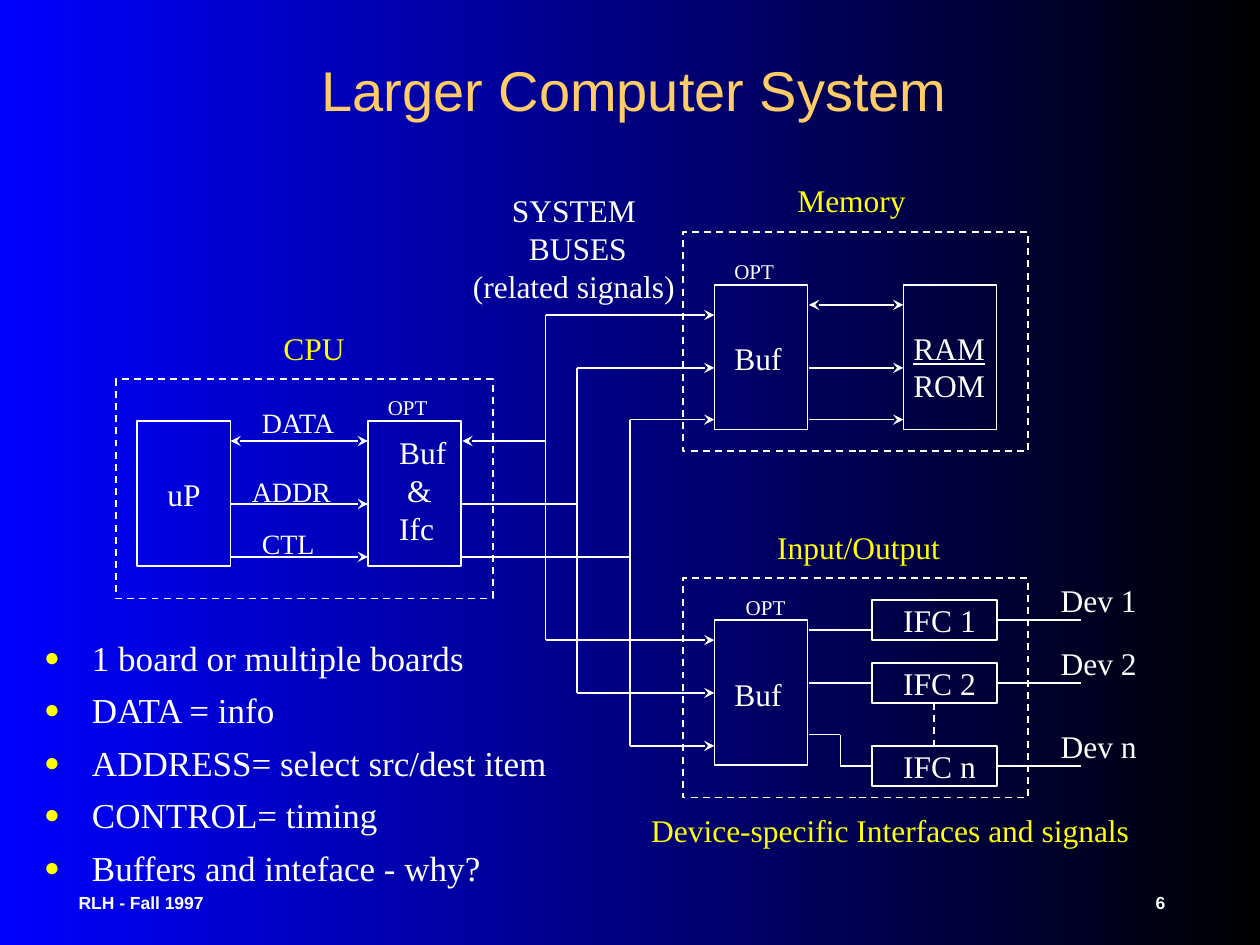
from lxml import etree
from pptx import Presentation
from pptx.dml.color import RGBColor
from pptx.enum.dml import MSO_LINE
from pptx.enum.shapes import MSO_CONNECTOR, MSO_SHAPE
from pptx.enum.text import MSO_ANCHOR, MSO_AUTO_SIZE, PP_ALIGN
from pptx.oxml.ns import qn
from pptx.util import Inches, Pt

WHITE, YELLOW, GOLD = "FFFFFF", "FFFF00", "FFCC66"
BLACK, BLUE = "000000", "0000FF"
SERIF, SANS = "Times New Roman", "Arial"
LEFT, CENTER = PP_ALIGN.LEFT, PP_ALIGN.CENTER
TOP, MIDDLE = MSO_ANCHOR.TOP, MSO_ANCHOR.MIDDLE
NO_FIT = MSO_AUTO_SIZE.NONE
STRAIGHT, RECTANGLE, DASH = MSO_CONNECTOR.STRAIGHT, MSO_SHAPE.RECTANGLE, MSO_LINE.DASH
BOTTOM_SIDE, TOP_SIDE, LEFT_SIDE, RIGHT_SIDE = 2, 0, 1, 3

color = RGBColor.from_string

deck = Presentation()
deck.slide_width, deck.slide_height = Inches(10), Inches(7.5)
page = deck.slides.add_slide(deck.slide_layouts[1])


def write(box, lines, size, hue=WHITE, font=SERIF, align=LEFT, anchor=TOP, bold=False):
    """Fill a shape with one formatted paragraph per line."""
    frame = box.text_frame
    frame.text = "\n".join(lines)
    frame.auto_size = NO_FIT
    frame.vertical_anchor = anchor
    for para in frame.paragraphs:
        para.alignment = align
        for span in para.runs:
            span.font.size, span.font.name, span.font.bold = Pt(size), font, bold
            span.font.color.rgb = color(hue)
    return frame


def connect(x1, y1, x2, y2, head=False, tail=False):
    """Draw a white line, with stealth arrowheads where asked."""
    line = page.shapes.add_connector(STRAIGHT, Inches(x1), Inches(y1), Inches(x2), Inches(y2))
    line.line.color.rgb = color(WHITE)
    line.line.width = Pt(1)
    outline = line.line._get_or_add_ln()
    for wanted, tag in ((head, "a:headEnd"), (tail, "a:tailEnd")):
        if wanted:
            etree.SubElement(outline, qn(tag), type="stealth")
    etree.SubElement(line._element.spPr, qn("a:effectLst"))
    return line


# Background fading from blue on the left to black on the right
fill = page.background.fill
fill.gradient()
fill.gradient_angle = 180
for stop, hue in zip(fill.gradient_stops, (BLACK, BLUE)):
    stop.color.rgb = color(hue)

# Title
title = page.shapes.title
title.left, title.top, title.width, title.height = map(Inches, (0.08, 0.08, 9.91, 1.25))
write(title, ["Larger Computer System"], 32, GOLD, SANS, CENTER, MIDDLE)

# Bulleted notes
notes = page.placeholders[1]
notes.left, notes.top, notes.width, notes.height = map(Inches, (0.25, 5, 6.25, 1.83))
frame = write(notes, [
    "1 board or multiple boards",
    "DATA = info",
    "ADDRESS= select src/dest item",
    "CONTROL= timing",
    "Buffers and inteface - why?",
], 20)
for para in frame.paragraphs:
    para.space_before = Pt(6)
    props = para._p.get_or_add_pPr()
    props.set("marL", str(Inches(0.38)))
    props.set("indent", str(-Inches(0.38)))
    bullet_color = etree.SubElement(props, qn("a:buClr"))
    etree.SubElement(bullet_color, qn("a:srgbClr"), val=YELLOW)
    etree.SubElement(props, qn("a:buSzPct"), val="75000")
    etree.SubElement(props, qn("a:buChar"), char="●")

# Dashed unit frames, solid blocks and interface boxes
FRAME, BLOCK, INTERFACE = (None, 1.74), (0.74, 1.15), (0.99, 0.32)
interfaces = []
for x, y, width, height in [
    (0.92, 3.01, 2.99, 1.74), (5.42, 1.84, 2.74, 1.74), (5.42, 4.59, 2.74, 1.74),
    (1.09, 3.34, *BLOCK), (2.92, 3.34, *BLOCK),
    (5.67, 2.26, *BLOCK), (7.17, 2.26, *BLOCK), (5.67, 4.92, *BLOCK),
    (6.92, 4.76, *INTERFACE), (6.92, 5.26, *INTERFACE), (6.92, 5.92, *INTERFACE),
]:
    box = page.shapes.add_shape(RECTANGLE, Inches(x), Inches(y), Inches(width), Inches(height))
    box.shadow.inherit = False
    box.fill.background()
    box.line.color.rgb = color(WHITE)
    box.line.width = Pt(1)
    if height == FRAME[1]:
        box.line.dash_style = DASH
    if (width, height) == INTERFACE:
        interfaces.append(box)

# Signals inside the CPU and the memory; data runs both ways
for start, end, levels in [(1.83, 2.92, (3.5, 4, 4.42)), (6.42, 7.17, (2.42, 2.92, 3.33))]:
    for index, y in enumerate(levels):
        connect(start, y, end, y, head=index == 0, tail=True)

# System buses: trunk position, then heights at the CPU, memory and input/output
for trunk, cpu, memory, io in [(4.33, 3.5, 2.5, 5.08), (4.58, 4, 2.92, 5.5), (5, 4.42, 3.33, 5.92)]:
    connect(3.67, cpu, trunk, cpu, head=trunk == 4.33)
    connect(trunk, memory, trunk, io)
    for y in (memory, io):
        connect(trunk, y, 5.67, y, tail=True)

# Input/output buffer to the interfaces
connect(6.42, 5, 6.92, 5)
connect(6.42, 5.42, 6.92, 5.42).end_connect(interfaces[1], LEFT_SIDE)
connect(6.42, 5.83, 6.67, 5.83)
connect(6.67, 5.83, 6.67, 6.08)
connect(6.67, 6.08, 6.92, 6.08).end_connect(interfaces[2], LEFT_SIDE)
more = connect(7.42, 5.58, 7.42, 5.92)
more.line.dash_style = DASH
more.begin_connect(interfaces[1], BOTTOM_SIDE)
more.end_connect(interfaces[2], TOP_SIDE)

# Labels: left, top, width, height, lines, size, colour, alignment
labels = [
    (2.15, 2.56, 0.69, 0.4, ["CPU"], 18, YELLOW, LEFT),
    (6.23, 1.39, 1.06, 0.4, ["Memory"], 18, YELLOW, LEFT),
    (6.07, 4.14, 1.49, 0.4, ["Input/Output"], 18, YELLOW, LEFT),
    (5.07, 6.39, 4, 0.4, ["Device-specific Interfaces and signals"], 18, YELLOW, LEFT),
    (3.65, 1.47, 1.81, 1, ["SYSTEM", " BUSES", "(related signals)"], 18, WHITE, CENTER),
    (1.23, 3.72, 0.47, 0.4, ["uP"], 18, WHITE, LEFT),
    (3.07, 3.39, 0.58, 1, ["Buf", " &", "Ifc"], 18, WHITE, LEFT),
    (5.73, 2.64, 0.58, 0.4, ["Buf"], 18, WHITE, LEFT),
    (5.73, 5.31, 0.58, 0.4, ["Buf"], 18, WHITE, LEFT),
    (7.15, 2.56, 0.77, 0.7, ["RAM", "ROM"], 18, WHITE, LEFT),
    (1.98, 3.17, 0.85, 0.37, ["DATA"], 16, WHITE, LEFT),
    (1.9, 3.72, 0.85, 0.37, ["ADDR"], 16, WHITE, LEFT),
    (1.98, 4.13, 0.68, 0.37, ["CTL"], 16, WHITE, LEFT),
]
for x, y in [(2.98, 3.08), (5.73, 2), (5.82, 4.67)]:
    labels.append((x, y, 0.68, 0.3, ["OPT"], 12, WHITE, LEFT))

# Each interface has its name and a line to its device
for interface, number, y in zip(interfaces, "12n", (4.92, 5.42, 6.08)):
    connect(7.92, y, 8.58, y).begin_connect(interface, RIGHT_SIDE)
    labels.append((7.07, y - 0.2, 0.78, 0.4, [f"IFC {number}"], 18, WHITE, LEFT))
    labels.append((8.32, y - 0.36, 0.81, 0.4, [f"Dev {number}"], 18, WHITE, LEFT))

for x, y, width, height, lines, size, hue, align in labels:
    box = page.shapes.add_textbox(Inches(x), Inches(y), Inches(width), Inches(height))
    frame = write(box, lines, size, hue, align=align)
    frame.word_wrap = False
    if lines[0] == "RAM":
        frame.paragraphs[0].runs[0].font.underline = True

# Footer and page number
for x, width, words in [(0.08, 2.08, "RLH - Fall 1997"), (8.5, 1.42, "6")]:
    box = page.shapes.add_textbox(Inches(x), Inches(7), Inches(width), Inches(0.33))
    write(box, [words], 10, WHITE, SANS, CENTER, MIDDLE, bold=True).word_wrap = True

deck.save("out.pptx")
